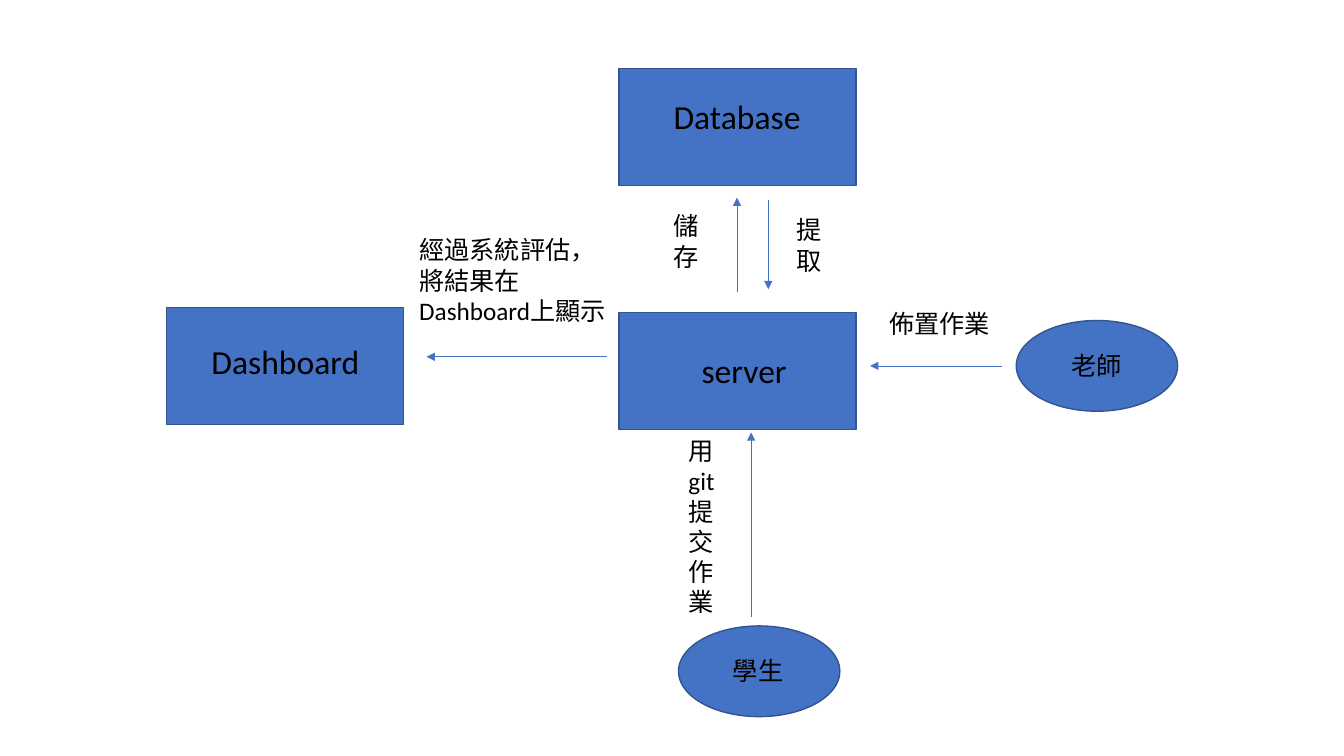
from typing import NamedTuple

from lxml import etree
from pptx import Presentation
from pptx import util as u
from pptx.dml.color import RGBColor
from pptx.enum import shapes, text
from pptx.oxml.ns import qn

COLORS = {"fill": "4472C4", "outline": "325491", "arrow": "4472C4", "text": "000000"}
FONT = "Calibri"
RECTANGLE = shapes.MSO_SHAPE.RECTANGLE
ELLIPSE = shapes.MSO_SHAPE.OVAL
SIZES = {RECTANGLE: (2.35, 1.16), ELLIPSE: (1.6, 0.9)}


class Label(NamedTuple):
    """A text box, in inches, with its type size in points."""
    wording: str
    left: float
    top: float
    width: float
    height: float
    size: int = 18
    align: text.PP_ALIGN = text.PP_ALIGN.LEFT


class Node(NamedTuple):
    """A part of the system: its outline and the name lying on it."""
    kind: shapes.MSO_SHAPE
    left: float
    top: float
    name: Label


class Arrow(NamedTuple):
    """A straight arrow whose head is at the end point."""
    start: tuple[float, float]
    end: tuple[float, float]


def part_name(wording: str, left: float, top: float) -> Label:
    """Return the large centred name of a system part."""
    return Label(wording, left, top, 1.78, 0.5, 24, text.PP_ALIGN.CENTER)


def person_name(wording: str, left: float, top: float) -> Label:
    """Return the centred name of a person."""
    return Label(wording, left, top, 1.1, 0.4, 18, text.PP_ALIGN.CENTER)


NODES = [
    Node(RECTANGLE, 6.14, 0.68, part_name("Database", 6.42, 0.9)),
    Node(ELLIPSE, 6.73, 6.21, person_name("學生", 6.97, 6.45)),
    Node(RECTANGLE, 1.65, 3.05, part_name("Dashboard", 1.94, 3.33)),
    Node(ELLIPSE, 10.08, 3.18, person_name("老師", 10.33, 3.43)),
    Node(RECTANGLE, 6.14, 3.1, part_name("server", 6.49, 3.42)),
]
ARROWS = [
    Arrow((7.45, 6.12), (7.45, 4.29)),
    Arrow((9.94, 3.63), (8.63, 3.63)),
    Arrow((7.31, 2.9), (7.31, 1.96)),
    Arrow((6.02, 3.54), (4.23, 3.54)),
    Arrow((7.62, 1.98), (7.62, 2.87)),
]
ARROW_LABELS = [
    Label("用git提交作業", 6.73, 4.27, 0.65, 1.92),
    Label("經過系統評估，\n將結果在Dashboard上顯示", 4.06, 2.28, 2.06, 1.01),
    Label("儲存", 6.58, 2.04, 0.4, 0.71),
    Label("提取", 7.8, 2.08, 0.4, 0.71),
    Label("佈置作業", 8.72, 3.01, 1.38, 0.4),
]


def color(name: str) -> RGBColor:
    """Look up a colour by its role."""
    return RGBColor.from_string(COLORS[name])


def draw_label(slide, label: Label) -> None:
    """Add a wrapped text box."""
    box = slide.shapes.add_textbox(*map(u.Inches, label[1:5]))
    frame = box.text_frame
    frame.word_wrap = True
    frame.text = label.wording
    for paragraph in frame.paragraphs:
        paragraph.alignment = label.align
        for run in paragraph.runs:
            run.font.name = FONT
            run.font.size = u.Pt(label.size)
            run.font.color.rgb = color("text")


def draw_node(slide, node: Node) -> None:
    """Add a filled outline and its name."""
    shape = slide.shapes.add_shape(
        node.kind, *map(u.Inches, (node.left, node.top, *SIZES[node.kind])))
    shape.shadow.inherit = False
    shape.fill.solid()
    shape.fill.fore_color.rgb = color("fill")
    shape.line.color.rgb = color("outline")
    shape.line.width = u.Pt(1)
    draw_label(slide, node.name)


def draw_arrow(slide, arrow: Arrow) -> None:
    """Add a thin connector with a triangular head."""
    connector = slide.shapes.add_connector(
        shapes.MSO_CONNECTOR.STRAIGHT, *map(u.Inches, arrow.start + arrow.end))
    connector.line.color.rgb = color("arrow")
    connector.line.width = u.Pt(0.5)
    etree.SubElement(connector.line._get_or_add_ln(), qn("a:tailEnd"), type="triangle")
    etree.SubElement(connector._element.spPr, qn("a:effectLst"))


def main() -> None:
    """Build and save the system diagram."""
    presentation = Presentation()
    presentation.slide_width = u.Inches(13.33)
    presentation.slide_height = u.Inches(7.5)
    slide = presentation.slides.add_slide(presentation.slide_layouts[6])
    for node in NODES:
        draw_node(slide, node)
    for arrow in ARROWS:
        draw_arrow(slide, arrow)
    for label in ARROW_LABELS:
        draw_label(slide, label)
    presentation.save("out.pptx")


main()
